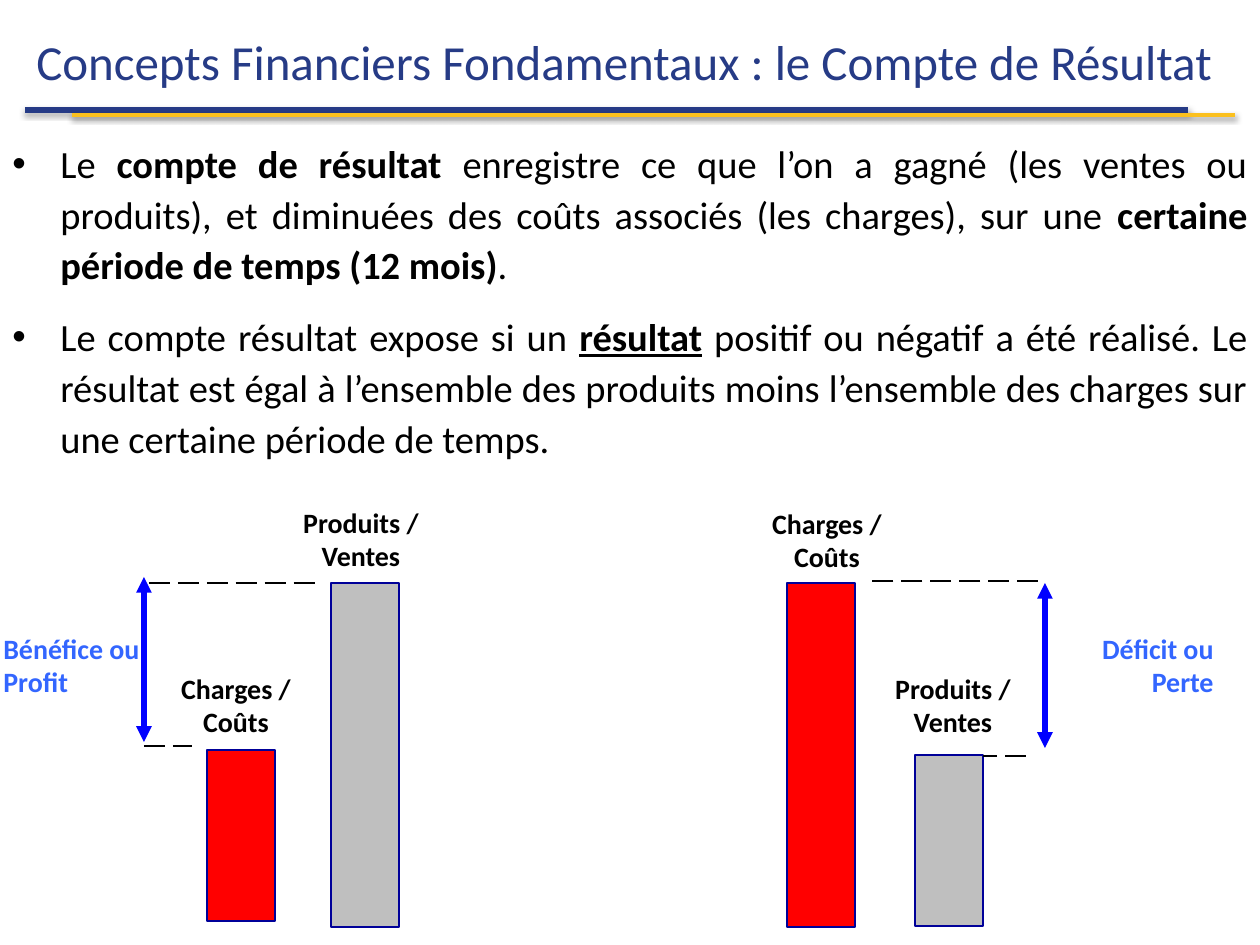
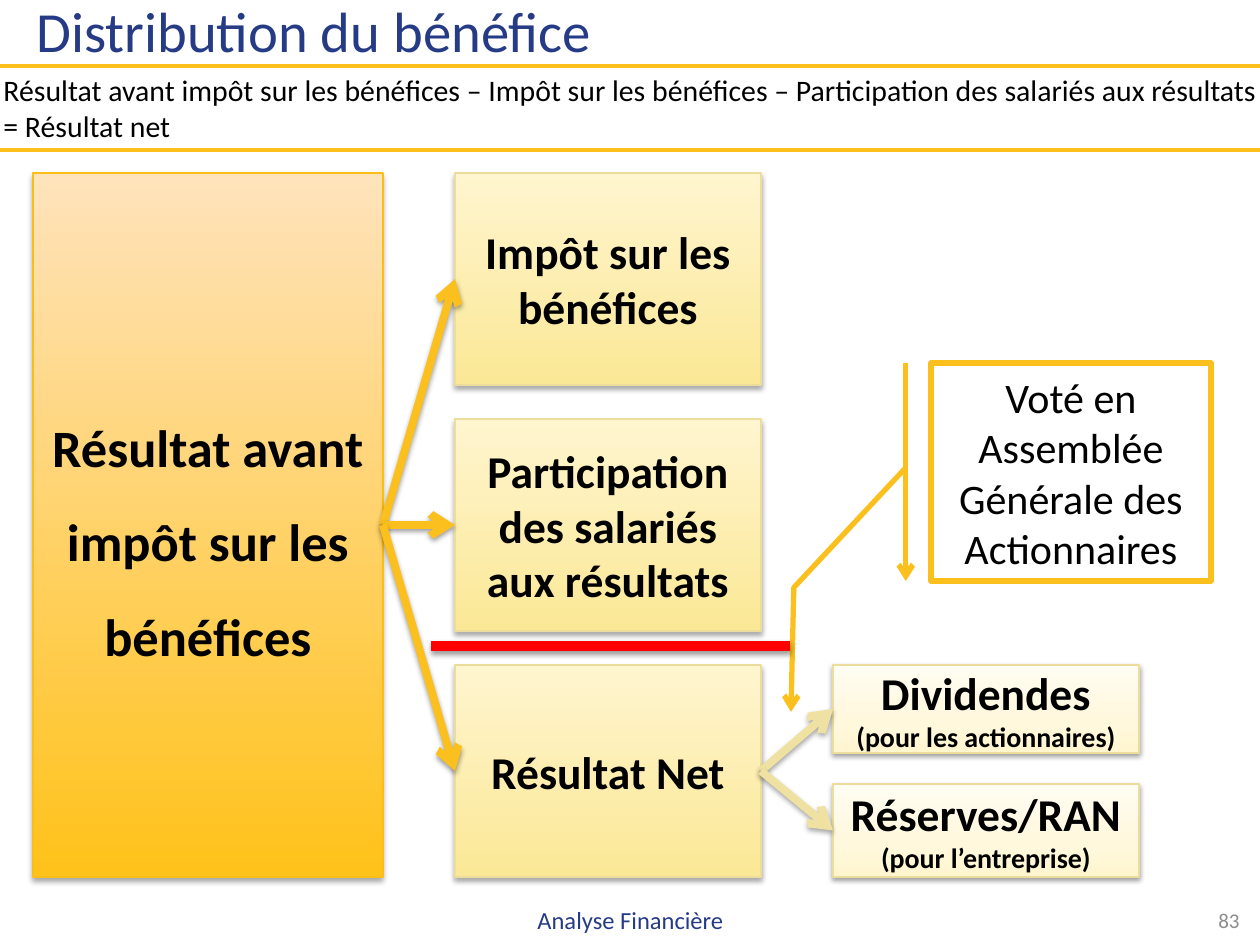
"""Build two slides on the income statement and the distribution of profit."""
from dataclasses import dataclass
from typing import NamedTuple, Optional

from lxml.etree import SubElement
from pptx import Presentation
from pptx.dml.color import RGBColor as RGB
from pptx.enum.dml import MSO_LINE as DASH
from pptx.enum.shapes import MSO_CONNECTOR as CONN, MSO_SHAPE as SHAPE
from pptx.enum.text import MSO_ANCHOR as ANCHOR, PP_ALIGN as ALIGN
from pptx.oxml.ns import qn
from pptx.util import Emu, Pt

PX_PER_INCH = 126
TOP, LEFT, BOTTOM, RIGHT = range(4)


@dataclass(frozen=True)
class Theme:
    font: str = "Calibri"
    navy: str = "263B86"
    gold: str = "FBC01E"
    pale_gold: str = "EFE1A2"
    cream_edge: str = "ECDD9D"
    amber_edge: str = "FBBE18"
    black: str = "000000"
    white: str = "FFFFFF"
    red: str = "FF0000"
    grey: str = "BFBFBF"
    number_grey: str = "8C8C8C"
    bar_edge: str = "000099"
    arrow_blue: str = "0000FF"
    label_blue: str = "3366FF"
    amber: tuple = ((0, "FFC21A"), (100, "FFE3BB"))
    cream: tuple = ((0, "FBE896"), (100, "FFF5CF"))
    ivory: tuple = ((0, "FFF5CF"), (35, "FFF8DD"), (100, "FFFCF2"))
    title: float = 28
    big_title: float = 32.4
    source: float = 30
    box: float = 26
    note: float = 24
    body: float = 22
    band: float = 17
    label: float = 16
    footer: float = 14
    number: float = 12


T = Theme()


class Box(NamedTuple):
    x: int
    y: int
    w: int
    h: int


class Shadow(NamedTuple):
    alpha: int
    blur: float
    dist: float


class Style(NamedTuple):
    size: float
    color: str = T.black
    bold: bool = False
    align: ALIGN = ALIGN.CENTER
    anchor: ANCHOR = ANCHOR.MIDDLE
    spacing: float = 1.0


class Stroke(NamedTuple):
    color: str
    width: float
    dash: Optional[DASH] = None
    head: str = ""
    tail: str = ""
    shadow: Optional[Shadow] = None


class Run(NamedTuple):
    text: str
    bold: bool = False
    underline: bool = False


class Bar(NamedTuple):
    box: Box
    fill: str
    label: str
    label_x: int
    label_y: int


SOFT = Shadow(38, 3.1, 1.6)
DEEP = Shadow(35, 3.1, 1.8)


def px(n: float) -> Emu:
    """Turn pixels into EMU."""
    return Emu(round(n * 914400 / PX_PER_INCH))


def format_run(r, style: Style) -> None:
    """Give a run the theme font and the style's size, weight and colour."""
    r.font.name = T.font
    r.font.size = Pt(style.size)
    r.font.bold = style.bold
    r.font.color.rgb = RGB.from_string(style.color)


def set_text(sp, text: str, style: Style):
    """Write one paragraph into a shape."""
    tf = sp.text_frame
    tf.word_wrap = True
    tf.vertical_anchor = style.anchor
    tf.text = text
    p = tf.paragraphs[0]
    p.alignment = style.align
    p.line_spacing = style.spacing
    for r in p.runs:
        format_run(r, style)
    return p


def add_text(s, box: Box, text: str, style: Style):
    """Add a wrapping text box."""
    sp = s.shapes.add_textbox(*map(px, box))
    set_text(sp, text, style)
    return sp


def add_shadow(sp, shadow: Optional[Shadow]) -> None:
    """Replace the inherited shadow by a downward one, or by none."""
    sp_pr = sp._element.spPr
    effects = sp_pr.find(qn("a:effectLst"))
    if effects is None:
        effects = SubElement(sp_pr, qn("a:effectLst"))
    if shadow:
        outer = SubElement(effects, qn("a:outerShdw"), blurRad=str(Pt(shadow.blur)),
                           dist=str(Pt(shadow.dist)), dir="5400000", rotWithShape="0")
        clr = SubElement(outer, qn("a:srgbClr"), val=T.black)
        SubElement(clr, qn("a:alpha"), val=str(shadow.alpha * 1000))


def apply_stroke(sp, stroke: Stroke) -> None:
    """Set line colour, width, dash, arrowheads and shadow."""
    sp.line.color.rgb = RGB.from_string(stroke.color)
    sp.line.width = Pt(stroke.width)
    if stroke.dash:
        sp.line.dash_style = stroke.dash
    ln = sp._element.spPr.find(qn("a:ln"))
    for tag, kind in (("a:headEnd", stroke.head), ("a:tailEnd", stroke.tail)):
        if kind:
            SubElement(ln, qn(tag), type=kind)
    add_shadow(sp, stroke.shadow)


def set_fill(sp, fill) -> None:
    """Fill with one colour, or with gradient stops running upwards."""
    if isinstance(fill, str):
        sp.fill.solid()
        sp.fill.fore_color.rgb = RGB.from_string(fill)
        return
    sp.fill.gradient()
    sp.fill.gradient_angle = 90
    stops = sp._element.spPr.find(qn("a:gradFill")).find(qn("a:gsLst"))
    for old in list(stops):
        stops.remove(old)
    for pos, color in fill:
        gs = SubElement(stops, qn("a:gs"), pos=str(pos * 1000))
        SubElement(gs, qn("a:srgbClr"), val=color)


def add_box(s, box: Box, fill, stroke: Stroke, kind: SHAPE = SHAPE.RECTANGLE):
    """Add a filled and outlined preset shape."""
    sp = s.shapes.add_shape(kind, *map(px, box))
    sp.shadow.inherit = False
    set_fill(sp, fill)
    apply_stroke(sp, stroke)
    return sp


def add_line(s, x1: int, y1: int, x2: int, y2: int, stroke: Stroke):
    """Add a straight line."""
    c = s.shapes.add_connector(CONN.STRAIGHT, *map(px, (x1, y1, x2, y2)))
    apply_stroke(c, stroke)
    return c


def join(s, source, target, stroke: Stroke) -> None:
    """Draw an arrow from the right side of one box to the left of another."""
    c = add_line(s, 0, 0, 1, 1, stroke)
    c.begin_connect(source, RIGHT)
    c.end_connect(target, LEFT)


def add_title(s, text: str, size: float, y: int, h: int) -> None:
    """Add the slide title."""
    add_text(s, Box(24, y, 1236, h), text, Style(size, T.navy, align=ALIGN.LEFT))


def add_bullets(s, box: Box, items: list) -> None:
    """Add justified bullets made of mixed runs."""
    tf = s.shapes.add_textbox(*map(px, box)).text_frame
    tf.word_wrap = True
    for i, runs in enumerate(items):
        p = tf.paragraphs[0] if i == 0 else tf.add_paragraph()
        p.alignment = ALIGN.JUSTIFY
        p.line_spacing = 1.1
        p.space_before = Pt(12 if i else 0)
        p_pr = p._p.get_or_add_pPr()
        p_pr.set("marL", str(px(48)))
        p_pr.set("indent", str(px(-48)))
        SubElement(p_pr, qn("a:buFont"), typeface="Arial")
        SubElement(p_pr, qn("a:buChar"), char="•")
        for run in runs:
            r = p.add_run()
            r.text = run.text
            format_run(r, Style(T.body, bold=run.bold))
            r.font.underline = run.underline


def build_income_statement(s) -> None:
    """Draw the definition of the income statement and its two outcomes."""
    add_line(s, 25, 110, 1188, 110, Stroke(T.navy, 3, shadow=SOFT))
    add_line(s, 72, 115, 1235, 115, Stroke(T.gold, 2, shadow=SOFT))
    add_title(s, "Concepts Financiers Fondamentaux : le Compte de Résultat", T.title, 3, 115)
    add_bullets(s, Box(0, 129, 1260, 755), [
        [Run("Le "), Run("compte de résultat ", True),
         Run("enregistre ce que l’on a gagné (les ventes ou produits), et diminuées "
             "des coûts associés (les charges), sur une "),
         Run("certaine période de temps (12 mois)", True), Run(".")],
        [Run("Le compte résultat expose si un "), Run("résultat", True, True),
         Run(" positif ou négatif a été réalisé. Le résultat est égal à l’ensemble des "
             "produits moins l’ensemble des charges sur une certaine période de temps.")],
    ])
    sales, costs = "Produits / Ventes", "Charges / Coûts"
    label = Style(T.label, bold=True, anchor=ANCHOR.TOP)
    for bar in (Bar(Box(331, 583, 68, 344), T.grey, sales, 274, 499),
                Bar(Box(207, 750, 68, 171), T.red, costs, 149, 665),
                Bar(Box(787, 583, 68, 344), T.red, costs, 740, 500),
                Bar(Box(915, 755, 68, 171), T.grey, sales, 866, 665)):
        add_box(s, bar.box, bar.fill, Stroke(T.bar_edge, 1.5))
        add_text(s, Box(bar.label_x, bar.label_y, 174, 81), bar.label, label)
    outcome = label._replace(color=T.label_blue)
    add_text(s, Box(-9, 625, 174, 81), "Bénéfice ou Profit", outcome._replace(align=ALIGN.LEFT))
    add_text(s, Box(1087, 625, 139, 81), "Déficit ou Perte", outcome._replace(align=ALIGN.RIGHT))
    dashed = Stroke(T.black, 1.5, DASH.LONG_DASH)
    for x1, x2, y in ((149, 321, 583), (144, 192, 746), (1038, 866, 581), (1026, 983, 756)):
        add_line(s, x1, y, x2, y, dashed)
    for x, y in ((144, 577), (1045, 583)):
        add_line(s, x, y, x, y + 165, Stroke(T.arrow_blue, 3, head="triangle", tail="triangle"))


def build_distribution(s) -> None:
    """Draw how the profit before tax is shared out."""
    add_title(s, "Distribution du bénéfice", T.big_title, -5, 69)
    add_text(s, Box(958, 895, 294, 50), "83", Style(T.number, T.number_grey, align=ALIGN.RIGHT))
    add_text(s, Box(431, 895, 399, 50), "Analyse Financière", Style(T.footer, T.navy))

    profit = add_box(s, Box(33, 173, 350, 704), T.amber, Stroke(T.amber_edge, 0.75, shadow=DEEP))
    set_text(profit, "Résultat avant impôt sur les bénéfices",
             Style(T.source, bold=True, spacing=1.5))
    strong = Style(T.box, bold=True)
    shares = []
    for i, text in enumerate(("Impôt sur les bénéfices",
                              "Participation des salariés aux résultats", "Résultat Net")):
        sp = add_box(s, Box(455, 173 + 246 * i, 306, 212), T.cream,
                     Stroke(T.cream_edge, 0.75, shadow=DEEP))
        set_text(sp, text, strong)
        shares.append(sp)
    for sp in shares:
        join(s, profit, sp, Stroke(T.gold, 4.5, tail="arrow", shadow=SOFT))
    for y, h, name, who in ((665, 88, "Dividendes ", "(pour les actionnaires)"),
                            (784, 93, "Réserves/RAN ", "(pour l’entreprise)")):
        sp = add_box(s, Box(833, y, 306, h), T.ivory, Stroke(T.cream_edge, 0.75, shadow=SOFT))
        r = set_text(sp, name, strong).add_run()
        r.text = who
        format_run(r, strong._replace(size=T.label))
        join(s, shares[-1], sp, Stroke(T.pale_gold, 4.5, tail="arrow", shadow=DEEP))

    vote = add_box(s, Box(931, 363, 280, 218), T.white, Stroke(T.gold, 3, tail="arrow"),
                   SHAPE.LINE_CALLOUT_2_BORDER_AND_ACCENT_BAR)
    for i, value in enumerate((0.48, -0.09, 1.03, -0.49, 1.6, -0.5)):
        vote.adjustments[i] = value
    set_text(vote, "Voté en Assemblée Générale des Actionnaires", Style(T.note))
    add_line(s, 431, 646, 790, 646, Stroke(T.red, 6, shadow=SOFT))
    band = add_box(s, Box(-9, 66, 1293, 84), T.white, Stroke(T.gold, 2))
    set_text(band, "Résultat avant impôt sur les bénéfices – Impôt sur les bénéfices – "
             "Participation des salariés aux résultats = Résultat net",
             Style(T.band, align=ALIGN.LEFT, anchor=ANCHOR.TOP))


def main() -> None:
    """Build and save the presentation."""
    prs = Presentation()
    prs.slide_width, prs.slide_height = px(1260), px(945)
    for build in (build_income_statement, build_distribution):
        build(prs.slides.add_slide(prs.slide_layouts[6]))
    prs.save("out.pptx")


if __name__ == "__main__":
    main()
